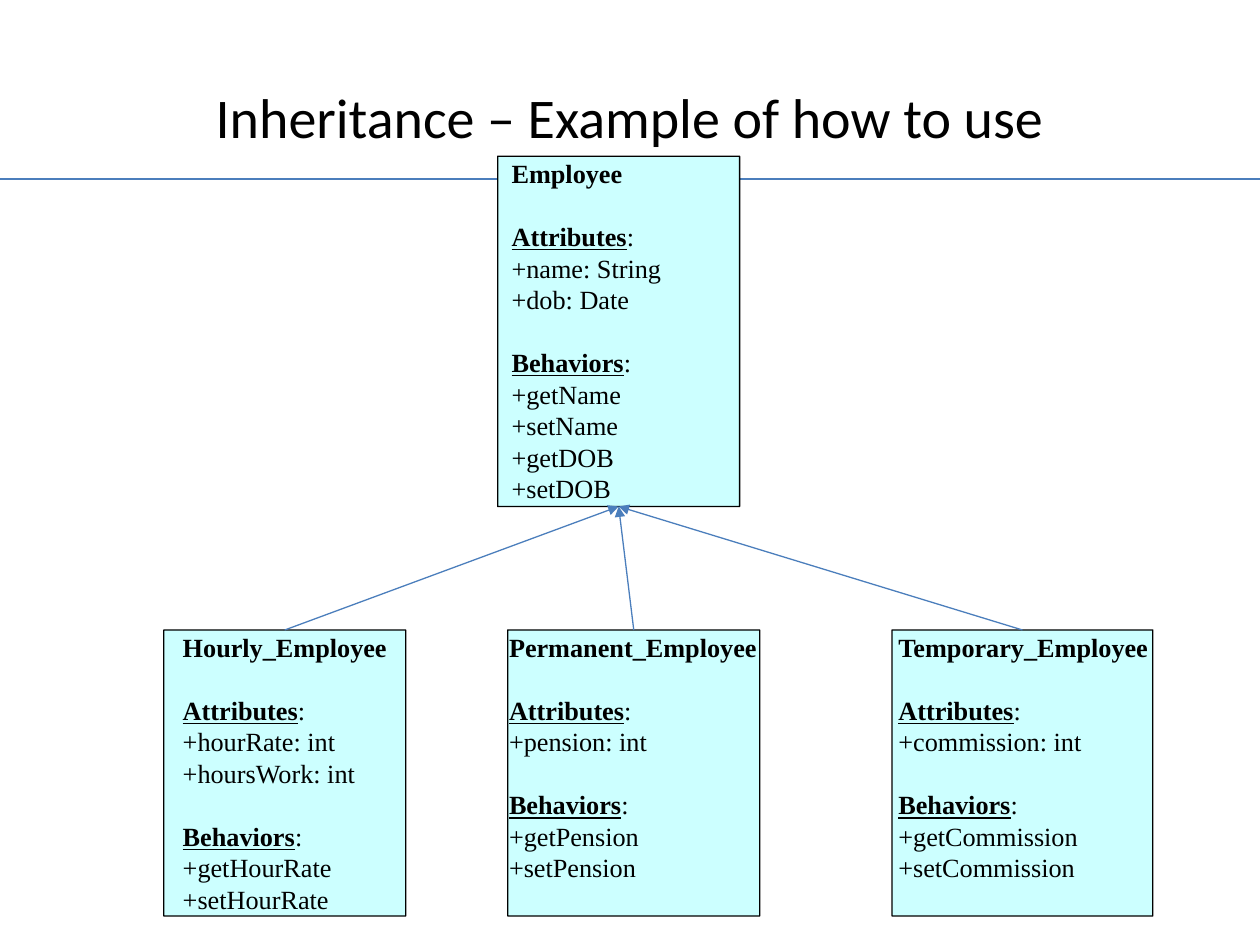
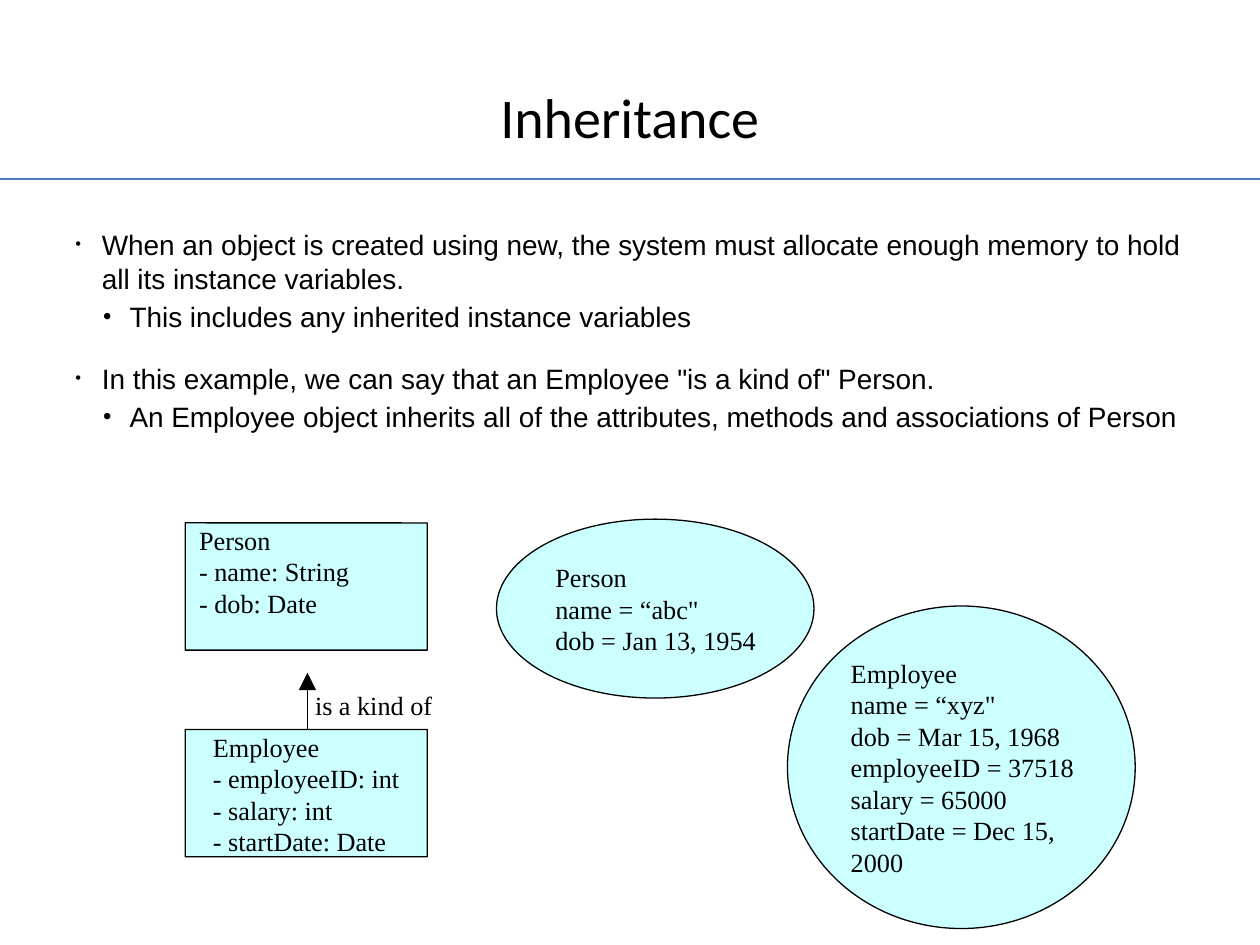
from dataclasses import dataclass

import pptx
import pptx.dml.color
import pptx.enum.shapes
import pptx.enum.text
import pptx.oxml.ns
import pptx.util
from lxml import etree

Inches = pptx.util.Inches
Pt = pptx.util.Pt
Shapes = pptx.enum.shapes.MSO_SHAPE
Anchor = pptx.enum.text.MSO_ANCHOR
Align = pptx.enum.text.PP_ALIGN
qn = pptx.oxml.ns.qn


@dataclass(frozen=True)
class Theme:
    ink: str = "000000"
    accent: str = "4B7EBC"
    box_fill: str = "CCFFFF"
    title_font: str = "Calibri"
    body_font: str = "Arial"
    diagram_font: str = "Times New Roman"
    title_size: float = 32
    body_size: float = 16
    diagram_size: float = 15
    body_leading: float = 19.5
    diagram_leading: float = 18
    line_width: float = 0.75


THEME = Theme()


def rgb(color):
    return pptx.dml.color.RGBColor.from_string(color)


def add_run(paragraph, text, font, size, bold=False, underline=False):
    run = paragraph.add_run()
    run.text = text
    run.font.name = font
    run.font.size = Pt(size)
    run.font.color.rgb = rgb(THEME.ink)
    run.font.bold = bold
    run.font.underline = underline


def next_paragraph(frame, index):
    return frame.add_paragraph() if index else frame.paragraphs[0]


def set_margins(frame, left=0, top=0):
    frame.margin_left, frame.margin_top = Inches(left), Inches(top)
    frame.margin_right = frame.margin_bottom = 0
    frame.word_wrap = True


def add_text_area(slide, left, top, width, height):
    area = slide.shapes.add_textbox(Inches(left), Inches(top), Inches(width), Inches(height))
    area.text_frame.word_wrap = True
    return area.text_frame


def add_line(slide, start, end, color, head_size=None):
    line = slide.shapes.add_connector(
        pptx.enum.shapes.MSO_CONNECTOR.STRAIGHT, *map(Inches, start + end))
    line.line.width = Pt(THEME.line_width)
    line.line.color.rgb = rgb(color)
    if head_size:
        etree.SubElement(line.line._get_or_add_ln(), qn("a:tailEnd"),
                         type="triangle", w=head_size, len=head_size)
    etree.SubElement(line._element.spPr, qn("a:effectLst"))
    return line


def add_titled_slide(deck, title):
    slide = deck.slides.add_slide(deck.slide_layouts[6])
    add_line(slide, (0, 1.42), (10, 1.42), THEME.accent)
    frame = add_text_area(slide, 0.5, 0.3, 9, 1.25)
    frame.vertical_anchor = Anchor.MIDDLE
    frame.paragraphs[0].alignment = Align.CENTER
    add_run(frame.paragraphs[0], title, THEME.title_font, THEME.title_size)
    return slide


def add_node(slide, kind, bounds):
    node = slide.shapes.add_shape(kind, *map(Inches, bounds))
    node.shadow.inherit = False
    node.fill.solid()
    node.fill.fore_color.rgb = rgb(THEME.box_fill)
    node.line.color.rgb = rgb(THEME.ink)
    node.line.width = Pt(THEME.line_width)
    return node


def add_diagram_line(frame, index, text, **style):
    paragraph = next_paragraph(frame, index)
    paragraph.alignment = Align.LEFT
    paragraph.line_spacing = Pt(THEME.diagram_leading)
    add_run(paragraph, text, THEME.diagram_font, THEME.diagram_size, **style)
    return paragraph


def add_box(slide, bounds, inset):
    box = add_node(slide, Shapes.ROUNDED_RECTANGLE, bounds)
    box.adjustments[0] = 0.001
    set_margins(box.text_frame, inset, 0.01)
    box.text_frame.vertical_anchor = Anchor.TOP
    return box


def add_class_box(slide, bounds, inset, name, attributes, behaviors):
    box = add_box(slide, bounds, inset)
    frame = box.text_frame
    add_diagram_line(frame, 0, name, bold=True)
    for heading, members in (("Attributes", attributes), ("Behaviors", behaviors)):
        paragraph = add_diagram_line(frame, 1, heading, bold=True, underline=True)
        paragraph.space_before = Pt(THEME.diagram_leading)
        add_run(paragraph, ":", THEME.diagram_font, THEME.diagram_size)
        for member in members:
            add_diagram_line(frame, 1, "+" + member)
    return box


def fill_lines(frame, lines):
    for index, text in enumerate(lines):
        add_diagram_line(frame, index, text)


def add_instance(slide, bounds, lines):
    instance = add_node(slide, Shapes.OVAL, bounds)
    set_margins(instance.text_frame, 0.1)
    instance.text_frame.vertical_anchor = Anchor.MIDDLE
    fill_lines(instance.text_frame, lines)


def add_bullet(frame, index, text, level, space_before):
    paragraph = next_paragraph(frame, index)
    paragraph.level = level
    paragraph.line_spacing = Pt(THEME.body_leading)
    paragraph.space_before = Pt(space_before)
    properties = paragraph._p.get_or_add_pPr()
    properties.set("marL", str(Inches((0.21, 0.43)[level])))
    properties.set("indent", str(Inches(-0.21)))
    color = etree.SubElement(properties, qn("a:buClr"))
    etree.SubElement(color, qn("a:srgbClr"), val=THEME.ink)
    etree.SubElement(properties, qn("a:buSzPct"), val=("59000", "85000")[level])
    etree.SubElement(properties, qn("a:buFont"), typeface=THEME.body_font)
    etree.SubElement(properties, qn("a:buChar"), char="•")
    add_run(paragraph, text, THEME.body_font, THEME.body_size)


def build_example_slide(deck):
    slide = add_titled_slide(deck, "Inheritance – Example of how to use")
    subclasses = [
        (1.3, 1.92, 0.15, "Hourly_Employee", ["hourRate: int", "hoursWork: int"],
         ["getHourRate", "setHourRate"]),
        (4.03, 2, 0.01, "Permanent_Employee", ["pension: int"],
         ["getPension", "setPension"]),
        (7.08, 2.07, 0.05, "Temporary_Employee", ["commission: int"],
         ["getCommission", "setCommission"]),
    ]
    children = [add_class_box(slide, (left, 5, width, 2.27), *content)
                for left, width, *content in subclasses]
    employee = add_class_box(slide, (3.95, 1.24, 1.92, 2.78), 0.11, "Employee",
                             ["name: String", "dob: Date"],
                             ["getName", "setName", "getDOB", "setDOB"])
    for child in children:
        arrow = add_line(slide, (0, 0), (1, 1), THEME.accent, "med")
        arrow.begin_connect(child, 0)
        arrow.end_connect(employee, 2)


def build_memory_slide(deck):
    slide = add_titled_slide(deck, "Inheritance")
    body = add_text_area(slide, 0.5, 1.75, 9, 4.95)
    bullets = [
        ("When an object is created using new, the system must allocate enough "
         "memory to hold all its instance variables.", 0, 2.5),
        ("This includes any inherited instance variables", 1, 2.5),
        ('In this example, we can say that an Employee "is a kind of" Person.', 0, 15.5),
        ("An Employee object inherits all of the attributes, methods and "
         "associations of Person", 1, 2.5),
    ]
    for index, bullet in enumerate(bullets):
        add_bullet(body, index, *bullet)

    person = add_box(slide, (1.47, 4.15, 1.92, 1.01), 0.11)
    fill_lines(person.text_frame, ["Person", "- name: String", "- dob: Date"])
    add_line(slide, (2.44, 6.15), (2.44, 5.34), THEME.ink, "lg")
    employee = add_box(slide, (1.47, 5.79, 1.92, 1.01), 0.22)
    fill_lines(employee.text_frame,
               ["Employee", "- employeeID: int", "- salary: int", "- startDate: Date"])

    add_instance(slide, (3.94, 4.12, 2.52, 1.42),
                 ["Person", 'name = “abc"', "dob = Jan 13, 1954"])
    add_instance(slide, (6.25, 4.81, 2.76, 2.56),
                 ["Employee", 'name = “xyz"', "dob = Mar 15, 1968",
                  "employeeID = 37518", "salary = 65000", "startDate = Dec 15, 2000"])
    relation = add_text_area(slide, 2.5, 5.47, 1.01, 0.25)
    set_margins(relation)
    fill_lines(relation, ["is a kind of"])


def main():
    deck = pptx.Presentation()
    deck.slide_width, deck.slide_height = Inches(10), Inches(7.5)
    build_example_slide(deck)
    build_memory_slide(deck)
    deck.save("out.pptx")


main()
